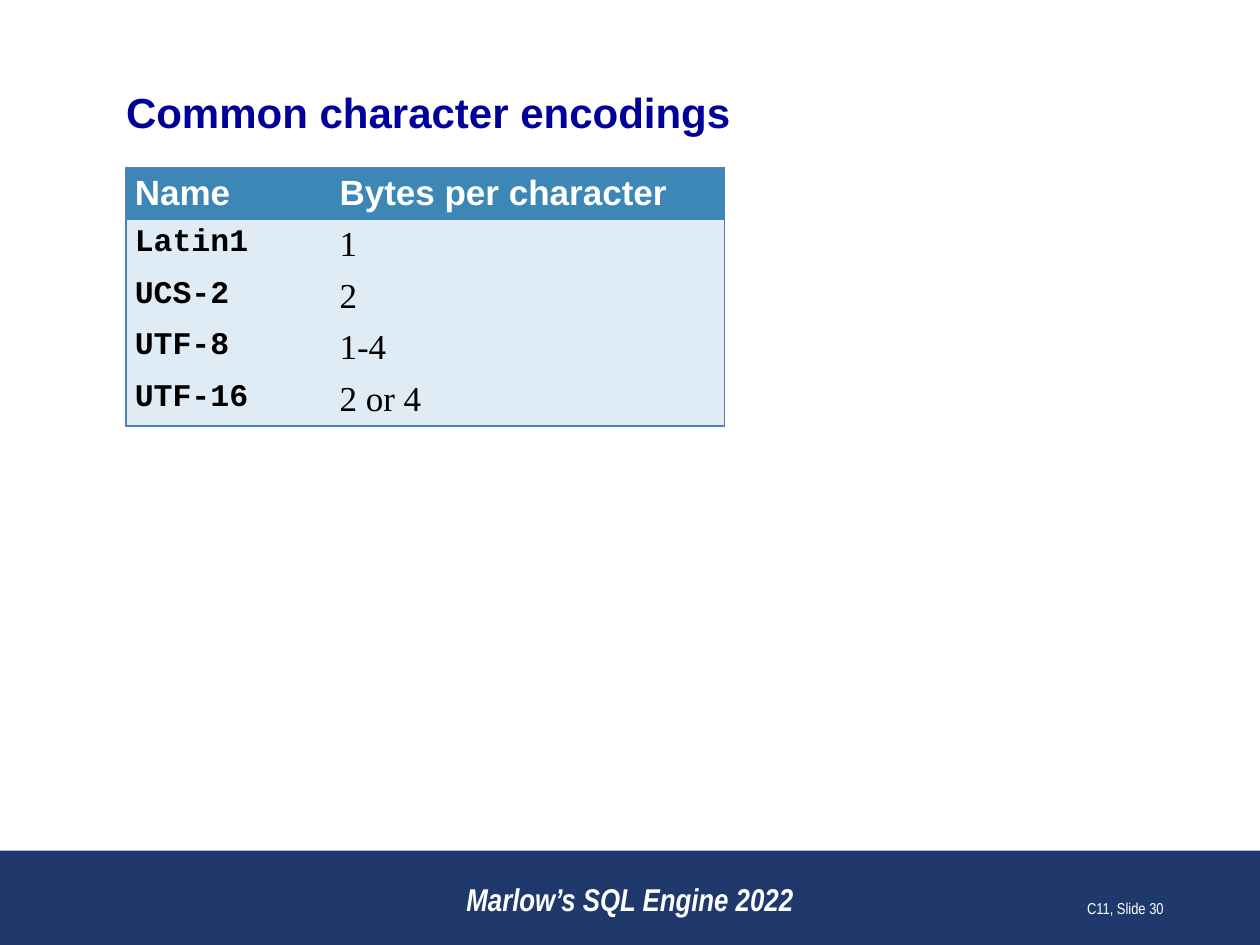
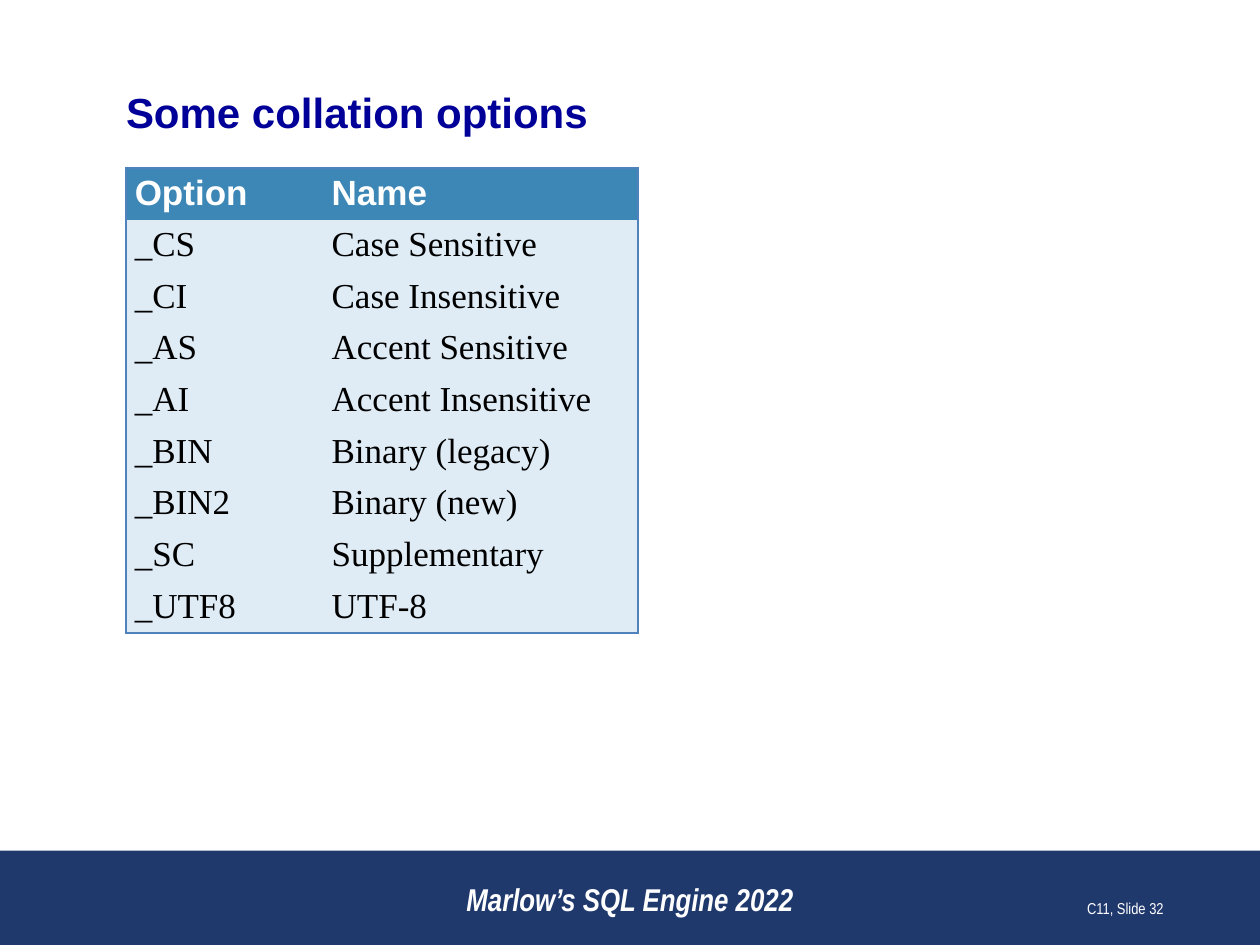
from dataclasses import dataclass

from lxml.etree import SubElement as Sub
from pptx import Presentation
from pptx.dml.color import RGBColor as Rgb
from pptx.enum.shapes import MSO_SHAPE as Kind
from pptx.enum.text import MSO_ANCHOR as Anchor, MSO_AUTO_SIZE as Auto, PP_ALIGN as Align
from pptx.oxml.ns import qn
from pptx.util import Inches, Pt

WIDE, HIGH = Inches(10), Inches(7.5)
COLS, ROWS = 120, 90
ROW = 4.92
NAVY, BLUE, PALE, EDGE = "20396D", "3D87B7", "DFECF5", "4F81BD"
BOOK = "Marlow’s SQL Engine 2022"


def hue(code: str) -> Rgb:
    return Rgb.from_string(code)


def style(face: str, size: float, code: str, **more: bool) -> dict:
    return {"name": face, "size": Pt(size), "bold": False, "color": code, **more}


TITLE = style("Arial", 24, "000099", bold=True)
HEAD = style("Arial", 20, "FFFFFF", bold=True)
BODY = style("Times New Roman", 20, "000000")
CODE = style("Courier New", 18, "000000", bold=True)
FOOT = style("Arial Narrow", 18, "FFFFFF", bold=True, italic=True)
PAGE = style("Arial Narrow", 9, "FFFFFF")

PAD = {
    "margin_left": Inches(0.07), "margin_right": Inches(0.07),
    "margin_top": Pt(3.25), "margin_bottom": Pt(3.25),
}
FLUSH = dict.fromkeys(PAD, 0)


@dataclass(frozen=True)
class Box:
    col: float
    row: float
    wide: float
    high: float

    def emu(self) -> tuple[int, ...]:
        dx, dy = WIDE / COLS, HIGH / ROWS
        return (round(self.col * dx), round(self.row * dy),
                round(self.wide * dx), round(self.high * dy))


@dataclass(frozen=True)
class Label:
    box: Box
    look: dict
    align: Align


@dataclass(frozen=True)
class Sheet:
    title: str
    page: int
    cols: tuple[float, ...]
    first: dict
    rows: tuple[tuple[str, ...], ...]


BAND = Box(0, 81, COLS, 9)
HEADING = Box(12, 8.2, 96, 4.8)
NAME = Label(Box(36, 82, 48, 6), FOOT, Align.CENTER)
FOLIO = Label(Box(87, 82, 25, 6), PAGE, Align.RIGHT)

SHEETS = (
    Sheet("Common character encodings", 30, (19.5, 37.5), CODE, (
        ("Name", "Bytes per character"),
        ("Latin1", "1"),
        ("UCS-2", "2"),
        ("UTF-8", "1-4"),
        ("UTF-16", "2 or 4"),
    )),
    Sheet("Some collation options", 32, (18.75, 30), BODY, (
        ("Option", "Name"),
        ("_CS", "Case Sensitive"),
        ("_CI", "Case Insensitive"),
        ("_AS", "Accent Sensitive"),
        ("_AI", "Accent Insensitive"),
        ("_BIN", "Binary (legacy)"),
        ("_BIN2", "Binary (new)"),
        ("_SC", "Supplementary"),
        ("_UTF8", "UTF-8"),
    )),
)


def apply(item, values: dict) -> None:
    for key, value in values.items():
        setattr(item, key, value)


def write(frame, text: str, look: dict, align: Align = Align.LEFT) -> None:
    para = frame.paragraphs[0]
    para.alignment = align
    run = para.add_run()
    run.text = text
    apply(run.font, {key: val for key, val in look.items() if key != "color"})
    run.font.color.rgb = hue(look["color"])


def label(slide, spot: Label, text: str) -> None:
    frame = slide.shapes.add_textbox(*spot.box.emu()).text_frame
    apply(frame, {"word_wrap": True, "vertical_anchor": Anchor.BOTTOM})
    write(frame, text, spot.look, spot.align)


def band(slide) -> None:
    bar = slide.shapes.add_shape(Kind.RECTANGLE, *BAND.emu())
    bar.shadow.inherit = False
    bar.fill.solid()
    bar.fill.fore_color.rgb = hue(NAVY)
    bar.line.fill.background()


def title(slide, text: str) -> None:
    head = slide.shapes.title
    apply(head, dict(zip(("left", "top", "width", "height"), HEADING.emu())))
    apply(head.text_frame, {
        **FLUSH, "word_wrap": True, "auto_size": Auto.NONE,
        "vertical_anchor": Anchor.MIDDLE,
    })
    write(head.text_frame, text, TITLE)


def border(cell, sides: dict[str, bool]) -> None:
    props = cell._tc.get_or_add_tcPr()
    for spot, (side, shown) in enumerate(sides.items()):
        line = Sub(props, qn(f"a:ln{side}"), w=str(Pt(1)))
        props.insert(spot, line)
        if shown:
            Sub(Sub(line, qn("a:solidFill")), qn("a:srgbClr"), val=EDGE)
        else:
            Sub(line, qn("a:noFill"))


def grid(slide, sheet: Sheet) -> None:
    rows, cols = len(sheet.rows), len(sheet.cols)
    box = Box(12, 16, sum(sheet.cols), rows * ROW)
    table = slide.shapes.add_table(rows, cols, *box.emu()).table
    apply(table, {"first_row": False, "horz_banding": False})
    for col, wide in zip(table.columns, sheet.cols):
        col.width = round(wide * WIDE / COLS)
    for r, words in enumerate(sheet.rows):
        for c, text in enumerate(words):
            cell = table.cell(r, c)
            apply(cell, PAD)
            cell.fill.solid()
            cell.fill.fore_color.rgb = hue(PALE if r else BLUE)
            look = HEAD if r == 0 else sheet.first if c == 0 else BODY
            write(cell.text_frame, text, look)
            cell.text_frame.paragraphs[0].space_after = Pt(6)
            border(cell, {"L": c == 0, "R": c == cols - 1,
                          "T": r == 0, "B": r == rows - 1})


def main() -> None:
    deck = Presentation()
    apply(deck, {"slide_width": WIDE, "slide_height": HIGH})
    for sheet in SHEETS:
        slide = deck.slides.add_slide(deck.slide_layouts[5])
        band(slide)
        title(slide, sheet.title)
        grid(slide, sheet)
        label(slide, NAME, BOOK)
        label(slide, FOLIO, f"C11, Slide {sheet.page}")
    deck.save("out.pptx")


if __name__ == "__main__":
    main()
